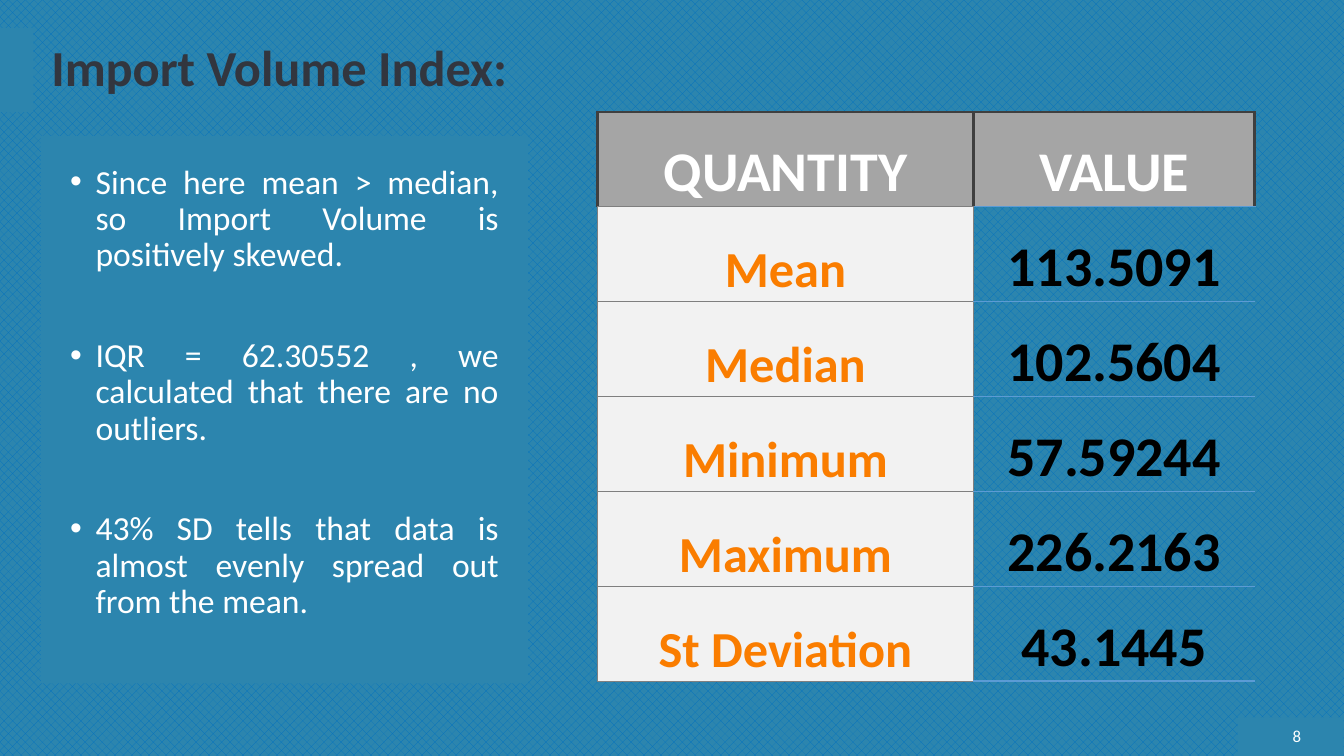
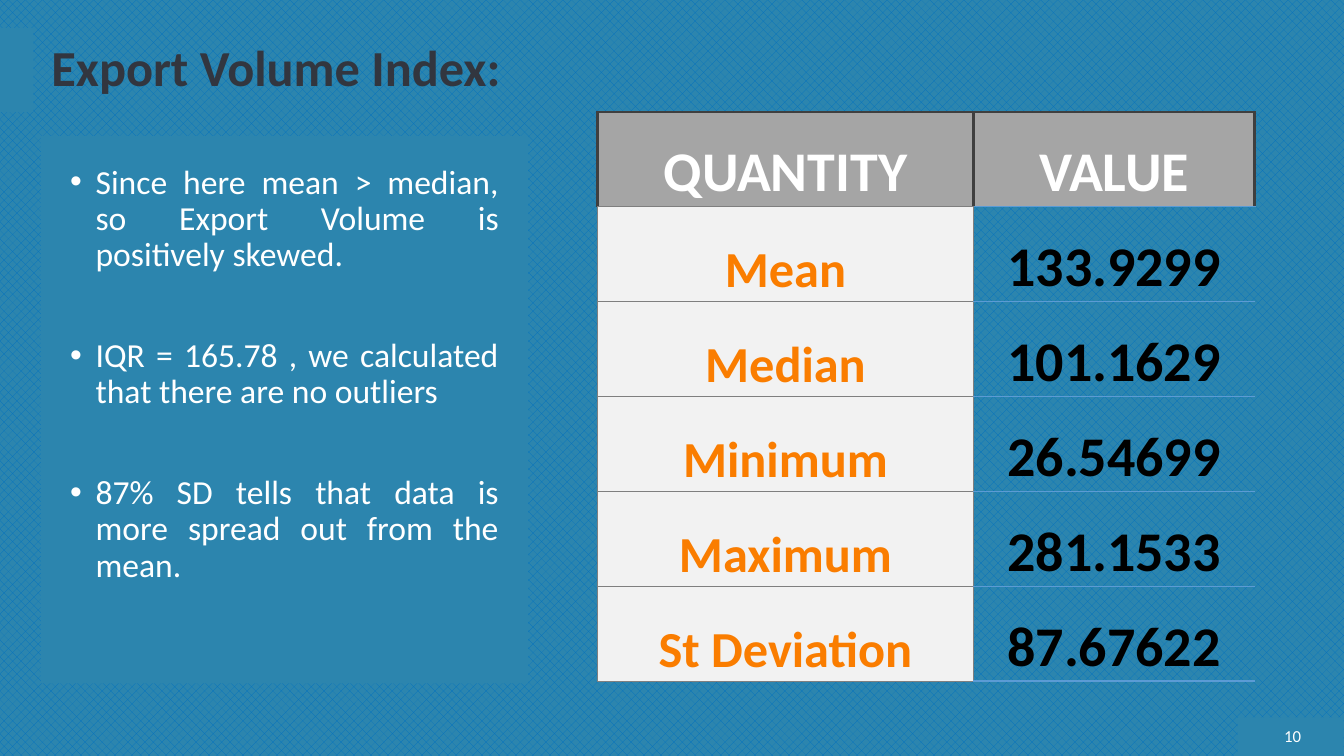
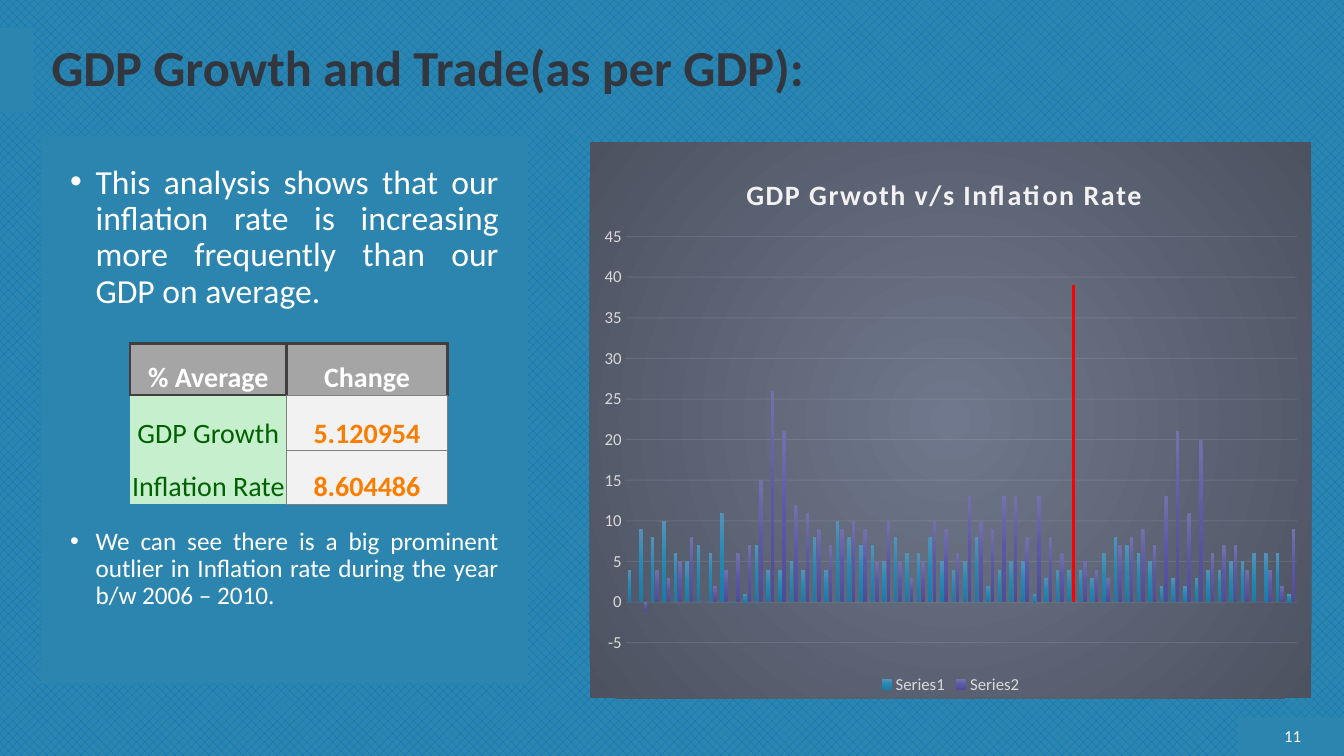
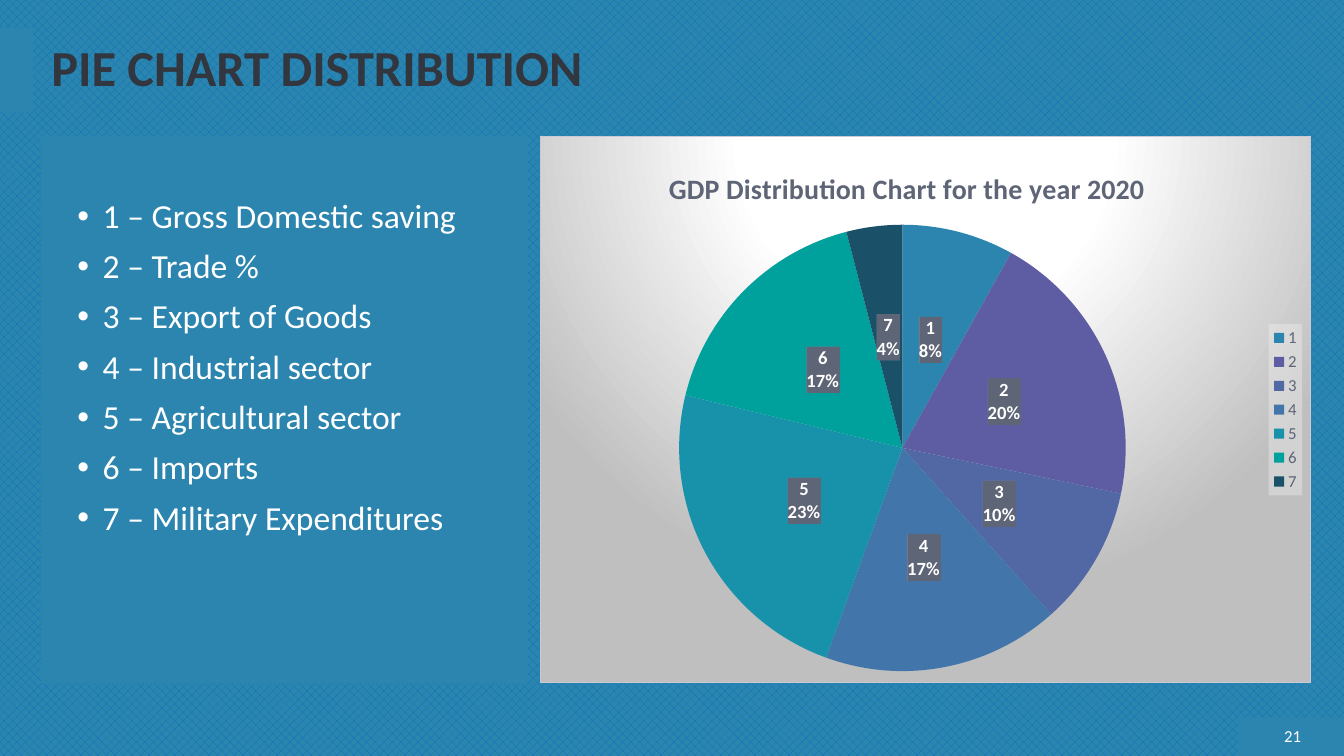
from lxml.etree import SubElement
from pptx import Presentation
from pptx.chart.data import CategoryChartData as Data
from pptx.dml.color import RGBColor
from pptx.enum.chart import XL_CHART_TYPE as Kind
from pptx.enum.chart import XL_LABEL_POSITION as Spot
from pptx.enum.chart import XL_LEGEND_POSITION as Side
from pptx.enum.chart import XL_TICK_MARK as Tick
from pptx.enum.dml import MSO_PATTERN as Weave
from pptx.enum.shapes import MSO_SHAPE as Form
from pptx.enum.text import MSO_ANCHOR as Anchor
from pptx.enum.text import PP_ALIGN as Align
from pptx.oxml import parse_xml
from pptx.oxml.ns import nsdecls, qn
from pptx.util import Cm, Pt

FACE = "Calibri"
WHITE, BLUE, INK, SLATE, ASH = "FFFFFF", "2C85AE", "32363F", "5E6576", "D9D9D9"
BANDS = [(31.19, 18.08, 2.67, 0.97), (0, 0.71, 0.84, 2.11), (1.04, 3.43, 12.27, 13.79)]
HEAD = (1.04, 0.71, 32, 2.11)
FOOT = (32, 18.29, 1.04, 0.58)
BODY = (1.52, 4.04, 11.3, 12.65)
LIST = (1.7, 4.9, 11.3, 12.65)

THIN, DARK = ("7F7F7F", 0.5), ("3F3F3F", 2)
SKY, BASE = ("5B9BD5", 0.5), ("5B9BD5", 2)
LOOKS = {
    "head": ("A5A5A5", WHITE, True, (DARK, DARK, DARK, THIN)),
    "value": ("A5A5A5", WHITE, True, (DARK, DARK, DARK, SKY)),
    "edge": ("A5A5A5", WHITE, True, (DARK, DARK, DARK, DARK)),
    "name": ("F2F2F2", "FA7D00", True, (THIN, THIN, THIN, THIN)),
    "num": (None, "000000", True, (THIN, None, SKY, SKY)),
    "last": (None, "000000", True, (THIN, None, SKY, BASE)),
    "top": ("C6EFCE", "006100", False, (None, THIN, DARK, None)),
    "low": ("C6EFCE", "006100", False, (None, THIN, None, None)),
}

STATS = ["Mean", "Median", "Minimum", "Maximum", "St Deviation"]
INDEX = [
    (8, "Import Volume Index:",
     ["Since here mean > median, so Import Volume is positively skewed.",
      "IQR = 62.30552 , we calculated that there are no outliers.",
      "43% SD tells that data is almost evenly spread out from the mean."],
     ["113.5091", "102.5604", "57.59244", "226.2163", "43.1445"]),
    (10, "Export Volume Index:",
     ["Since here mean > median, so Export Volume is positively skewed.",
      "IQR = 165.78 , we calculated that there are no outliers",
      "87% SD tells that data is more spread out from the mean."],
     ["133.9299", "101.1629", "26.54699", "281.1533", "87.67622"]),
]
TREND = [
    ("This analysis shows that our inflation rate is increasing more frequently "
     "than our GDP on average.", 24, 0),
    ("We can see there is a big prominent outlier in Inflation rate during the "
     "year b/w 2006 – 2010.", 18, 156),
]
RATES = [
    [("% Average", "edge", 20), ("Change", "head", 20)],
    [("GDP Growth", "top", 20), ("5.120954", "name", 20)],
    [("Inflation Rate", "low", 20), ("8.604486", "name", 20)],
]
GROWTH = [4, 9, 8, 10, 6, 5, 7, 6, 11, 0, 1, 7, 4, 4, 5, 4, 8, 4, 10, 8, 7, 7, 5, 8, 6, 6, 8, 5, 4,
          5, 8, 2, 4, 5, 5, 1, 3, 4, 4, 4, 3, 6, 8, 7, 6, 5, 2, 3, 2, 3, 4, 4, 5, 5, 6, 6, 6, 1]
PRICES = [0, -1, 4, 3, 5, 8, 0, 2, 4, 6, 7, 15, 26, 21, 12, 11, 9, 7, 9, 10, 9, 5, 10, 5, 3, 5, 10,
          9, 6, 13, 10, 9, 13, 13, 8, 13, 8, 6, 39, 5, 4, 3, 7, 8, 9, 7, 13, 21, 11, 20, 6, 7, 7,
          4, 0, 4, 2, 9]
PEAK = 38
SHADES = [
    [(0, "5393B9"), (50, "2687B4"), (100, "1C7AA6")],
    [(0, "7371AC"), (50, "5B59A5"), (100, "4E4C96")],
]
PARTS = ["Gross Domestic saving", "Trade %", "Export of Goods", "Industrial sector",
         "Agricultural sector", "Imports", "Military Expenditures"]
SHARES = [8, 20, 10, 17, 23, 17, 4]
SLICES = [BLUE, "5E5CA2", "5268A5", "4276AA", "1891AB", "00A09D", "1A5068"]


def put(item, **vals):
    for key, val in vals.items():
        setattr(item, key, val)


def hue(code):
    return RGBColor.from_string(code)


def paint(fill, code):
    if code:
        fill.solid()
        fill.fore_color.rgb = hue(code)
    else:
        fill.background()


def style(font, size, code, bold=False):
    put(font, name=FACE, size=Pt(size), bold=bold)
    font.color.rgb = hue(code)


def area(box):
    return [Cm(n) for n in box]


def write(para, text, size, code, bold=False, **vals):
    put(para, **vals)
    run = para.add_run()
    run.text = text
    style(run.font, size, code, bold)
    return run


def page(deck, num, title, kind="weave"):
    slide = deck.slides.add_slide(deck.slide_layouts[5])
    fill = slide.background.fill
    fill.patterned()
    fill.pattern = Weave.from_xml(kind)
    fill.fore_color.rgb, fill.back_color.rgb = hue("0070C0"), hue(BLUE)
    head = slide.shapes.title
    put(head, **dict(zip(("left", "top", "width", "height"), area(HEAD))))
    foot = slide.shapes.add_textbox(*area(FOOT))
    for box, text, size, code, bold, side in (
            (head, title, 36, INK, True, Align.LEFT),
            (foot, str(num), 12, WHITE, False, Align.RIGHT)):
        put(box.text_frame, word_wrap=True, vertical_anchor=Anchor.MIDDLE)
        write(box.text_frame.paragraphs[0], text, size, code, bold,
              alignment=side, line_spacing=0.9)
    return slide


def share(slide):
    base = slide.slide_layout
    for hold in list(base.placeholders)[1:]:
        hold.element.getparent().remove(hold.element)
    bands = [slide.shapes.add_shape(Form.RECTANGLE, *area(box)) for box in BANDS]
    for band in bands:
        paint(band.fill, BLUE)
        band.line.fill.background()
        band.shadow.inherit = False
        base.element.cSld.spTree.insert(2, band.element)


def points(slide, box, rows, side):
    frame = slide.shapes.add_textbox(*area(box)).text_frame
    frame.word_wrap = True
    for i, (text, size, gap) in enumerate(rows):
        para = frame.add_paragraph() if i else frame.paragraphs[0]
        node = para._p.get_or_add_pPr()
        node.set("marL", str(Cm(0.64)))
        node.set("indent", str(-Cm(0.64)))
        SubElement(node, qn("a:buFont")).set("typeface", "Arial")
        SubElement(node, qn("a:buChar")).set("char", "•")
        write(para, text, size, WHITE, alignment=side, line_spacing=0.9, space_before=Pt(gap))


def stroke(cell, sides):
    node = cell._tc.get_or_add_tcPr()
    for tag, side in zip(("lnL", "lnR", "lnT", "lnB"), sides):
        line = SubElement(node, qn("a:" + tag))
        if side:
            line.set("w", str(Pt(side[1])))
            SubElement(SubElement(line, qn("a:solidFill")), qn("a:srgbClr")).set("val", side[0])
        else:
            SubElement(line, qn("a:noFill"))


def grid(slide, left, top, cols, highs, rows):
    box = area((left, top, sum(cols), sum(highs)))
    table = slide.shapes.add_table(len(rows), len(cols), *box).table
    put(table, first_row=False, horz_banding=False)
    for col, size in zip(table.columns, cols):
        col.width = Cm(size)
    for row, size, items in zip(table.rows, highs, rows):
        row.height = Cm(size)
        for cell, (text, look, pts) in zip(row.cells, items):
            fill, code, bold, sides = LOOKS[look]
            put(cell, margin_left=Cm(0.02), margin_right=Cm(0.02), margin_top=Cm(0.02),
                margin_bottom=0, vertical_anchor=Anchor.BOTTOM)
            stroke(cell, sides)
            paint(cell.fill, fill)
            write(cell.text_frame.paragraphs[0], text, pts, code, bold, alignment=Align.CENTER)


def props(inner):
    return parse_xml(f'<c:spPr {nsdecls("c", "a")}>{inner}</c:spPr>')


def tint(code, alpha=100):
    return f'<a:srgbClr val="{code}"><a:alpha val="{alpha * 1000}"/></a:srgbClr>'


def blend(stops, tail):
    marks = "".join(f'<a:gs pos="{pos * 1000}">{tint(code)}</a:gs>' for pos, code in stops)
    return f'<a:gradFill rotWithShape="1"><a:gsLst>{marks}</a:gsLst>{tail}</a:gradFill>'


def glow(stops, top, low):
    return blend(stops, '<a:path path="circle"><a:fillToRect l="50000" '
                        f't="{top * 1000}" r="50000" b="{low * 1000}"/></a:path>')


def place(node, pos, **vals):
    for old in node.findall(qn("c:layout")):
        node.remove(old)
    layout = node.makeelement(qn("c:layout"))
    spot = SubElement(layout, qn("c:manualLayout"))
    if "w" in vals:
        SubElement(spot, qn("c:layoutTarget")).set("val", "inner")
    for key in ("x", "y"):
        SubElement(spot, qn(f"c:{key}Mode")).set("val", "edge")
    for key, val in vals.items():
        SubElement(spot, qn("c:" + key)).set("val", str(val))
    node.insert(pos, layout)


def back(node, inner):
    node.find(qn("c:txPr")).addprevious(props(inner))


def graph(slide, kind, box, cats, rows, title, code, left, plot, side, tone, fill):
    data = Data()
    data.categories = cats
    for name, vals in rows:
        data.add_series(name, vals)
    chart = slide.shapes.add_chart(kind, *area(box), data).chart
    style(chart.font, 10, INK)
    chart.has_title = True
    run = write(chart.chart_title.text_frame.paragraphs[0], title, 20, code, True)
    place(chart.chart_title.element, 1, x=left, y=0.05)
    place(chart.element.find(".//" + qn("c:plotArea")), 0, **dict(zip("xywh", plot)))
    chart.has_legend = True
    put(chart.legend, position=side, include_in_layout=False)
    style(chart.legend.font, 12, tone)
    chart.element.find(qn("c:chart")).addnext(props(fill))
    return chart, run


def bars(slide):
    cats = [str(n + 1) for n in range(len(GROWTH))]
    fill = glow([(0, "6F788C"), (100, "4C5260")], 50, 50) + "<a:ln><a:noFill/></a:ln>"
    chart, run = graph(
        slide, Kind.COLUMN_CLUSTERED, (14.86, 3.58, 18.19, 14.02), cats,
        [("Series1", GROWTH), ("Series2", PRICES)], "GDP Grwoth v/s Inflation Rate",
        "F2F2F2", 0.21, (0.05, 0.17, 0.93, 0.73), Side.BOTTOM, ASH, fill)
    run.font._element.set("spc", "100")
    plot = chart.plots[0]
    put(plot, gap_width=100, overlap=-24, vary_by_categories=False)
    for ser, stops in zip(plot.series, SHADES):
        ser.invert_if_negative = False
        shade = props(blend(stops, '<a:lin ang="5400000" scaled="0"/>'))
        ser._element.get_or_add_spPr().extend(list(shade))
    paint(plot.series[1].points[PEAK].format.fill, "FF0000")
    chart.category_axis.visible = False
    axis = chart.value_axis
    put(axis, minimum_scale=-5, maximum_scale=45, major_unit=5,
        major_tick_mark=Tick.NONE, minor_tick_mark=Tick.NONE, has_major_gridlines=True)
    style(axis.tick_labels.font, 12, ASH)
    axis.format.line.fill.background()
    line = axis.major_gridlines.format.line
    line.width = Pt(0.75)
    paint(line.fill, "F2F2F2")
    mark = axis._element.find(f'.//{qn("c:majorGridlines")}//{qn("a:srgbClr")}')
    SubElement(mark, qn("a:alpha")).set("val", "10000")


def pie(slide):
    cats = [str(n + 1) for n in range(len(SHARES))]
    fill = glow([(0, WHITE), (39, WHITE), (100, "BFBFBF")], -80, 180)
    fill += f'<a:ln w="{Pt(0.75)}"><a:solidFill>{tint("C8CBD3")}</a:solidFill></a:ln>'
    chart, _ = graph(
        slide, Kind.PIE, (13.61, 3.43, 19.43, 13.79), cats, [("Series 1", SHARES)],
        "GDP Distribution Chart for the year 2020", SLATE, 0.16,
        (0.18, 0.16, 0.58, 0.82), Side.RIGHT, SLATE, fill)
    back(chart.legend._element, f'<a:solidFill>{tint("F2F2F2", 39)}</a:solidFill>')
    plot = chart.plots[0]
    put(plot, vary_by_categories=True, has_data_labels=True)
    for i, code in enumerate(SLICES):
        paint(plot.series[0].points[i].format.fill, code)
    tags = plot.data_labels
    style(tags.font, 13.3, WHITE, True)
    put(tags, show_value=False, show_percentage=True, show_category_name=True,
        position=Spot.CENTER)
    node = tags._element
    back(node, f'<a:pattFill prst="dkVert"><a:fgClr>{tint(SLATE)}</a:fgClr>'
               f'<a:bgClr>{tint("6F788C")}</a:bgClr></a:pattFill>')
    gap = node.makeelement(qn("c:separator"))
    gap.text = "\n"
    node.find(qn("c:showBubbleSize")).addnext(gap)


def main():
    deck = Presentation()
    put(deck, slide_width=Cm(33.87), slide_height=Cm(19.05))
    for i, (num, title, notes, vals) in enumerate(INDEX):
        slide = page(deck, num, title)
        if not i:
            share(slide)
        points(slide, BODY, [(text, 24, 46 if n else 0) for n, text in enumerate(notes)],
               Align.JUSTIFY)
        rows = [[("QUANTITY", "head", 40), ("VALUE", "value", 40)]]
        for name, val in zip(STATS, vals):
            look = "last" if name == STATS[-1] else "num"
            rows.append([(name, "name", 36), (val, look, 40)])
        grid(slide, 15.06, 2.82, (9.47, 7.09), [2.39] * len(rows), rows)

    slide = page(deck, 11, "GDP Growth and Trade(as per GDP):", "pct40")
    points(slide, BODY, TREND, Align.JUSTIFY)
    bars(slide)
    grid(slide, 3.28, 8.66, (3.94, 4.06), (1.3, 1.4, 1.35), RATES)

    slide = page(deck, 21, "PIE CHART DISTRIBUTION")
    points(slide, LIST, [(f"{n + 1} – {part}", 24, 10 if n else 0)
                         for n, part in enumerate(PARTS)], Align.LEFT)
    pie(slide)
    deck.save("out.pptx")


if __name__ == "__main__":
    main()
